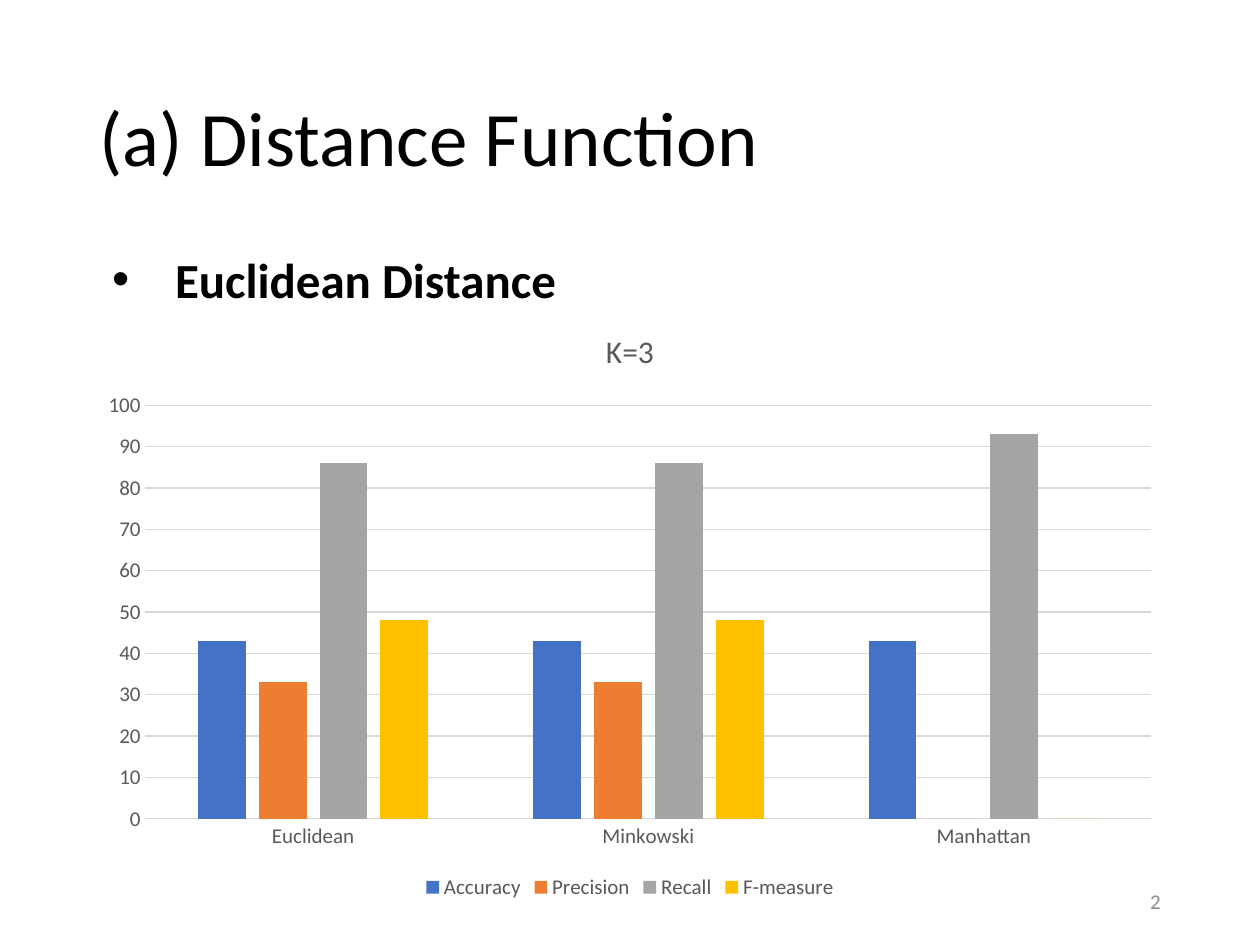
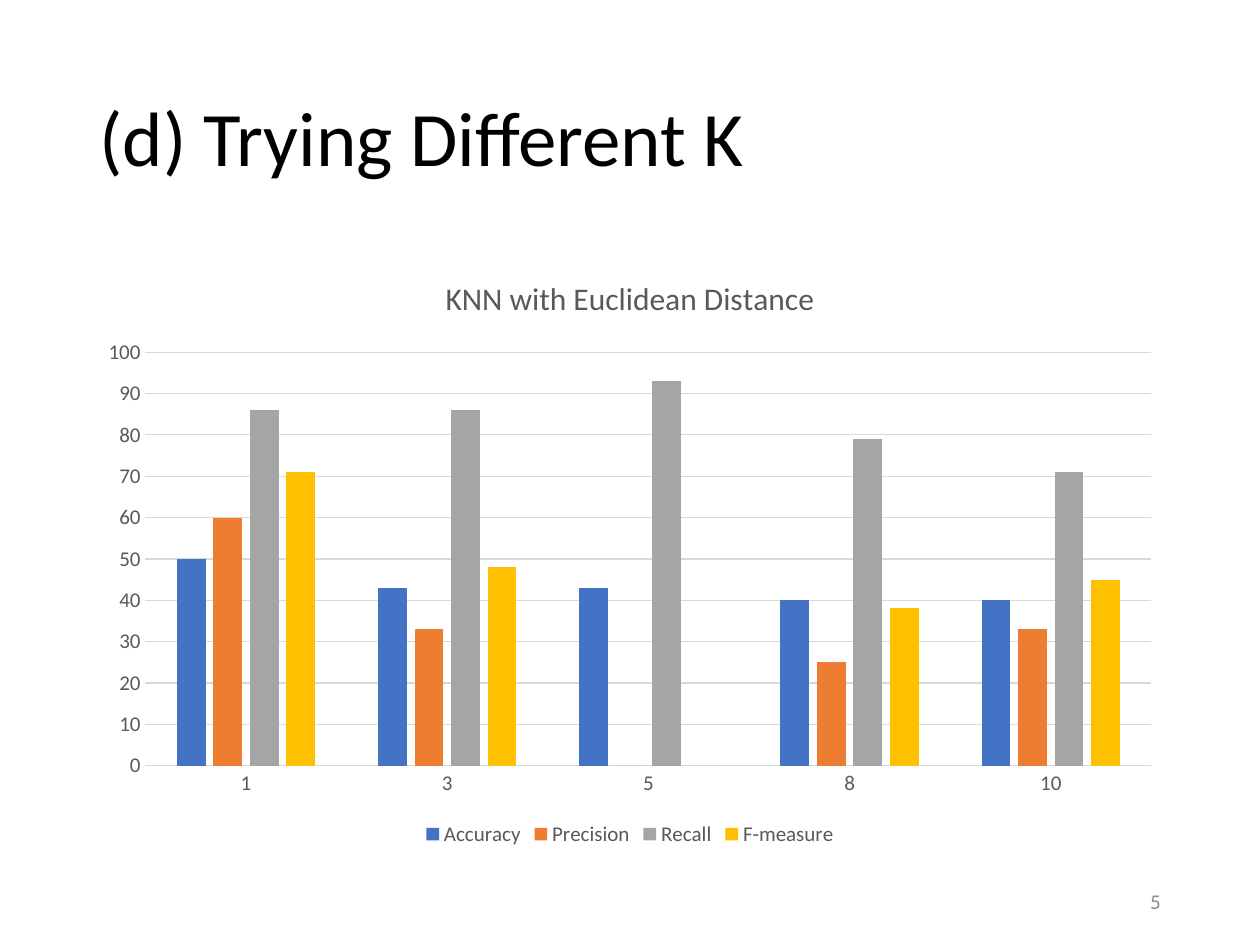
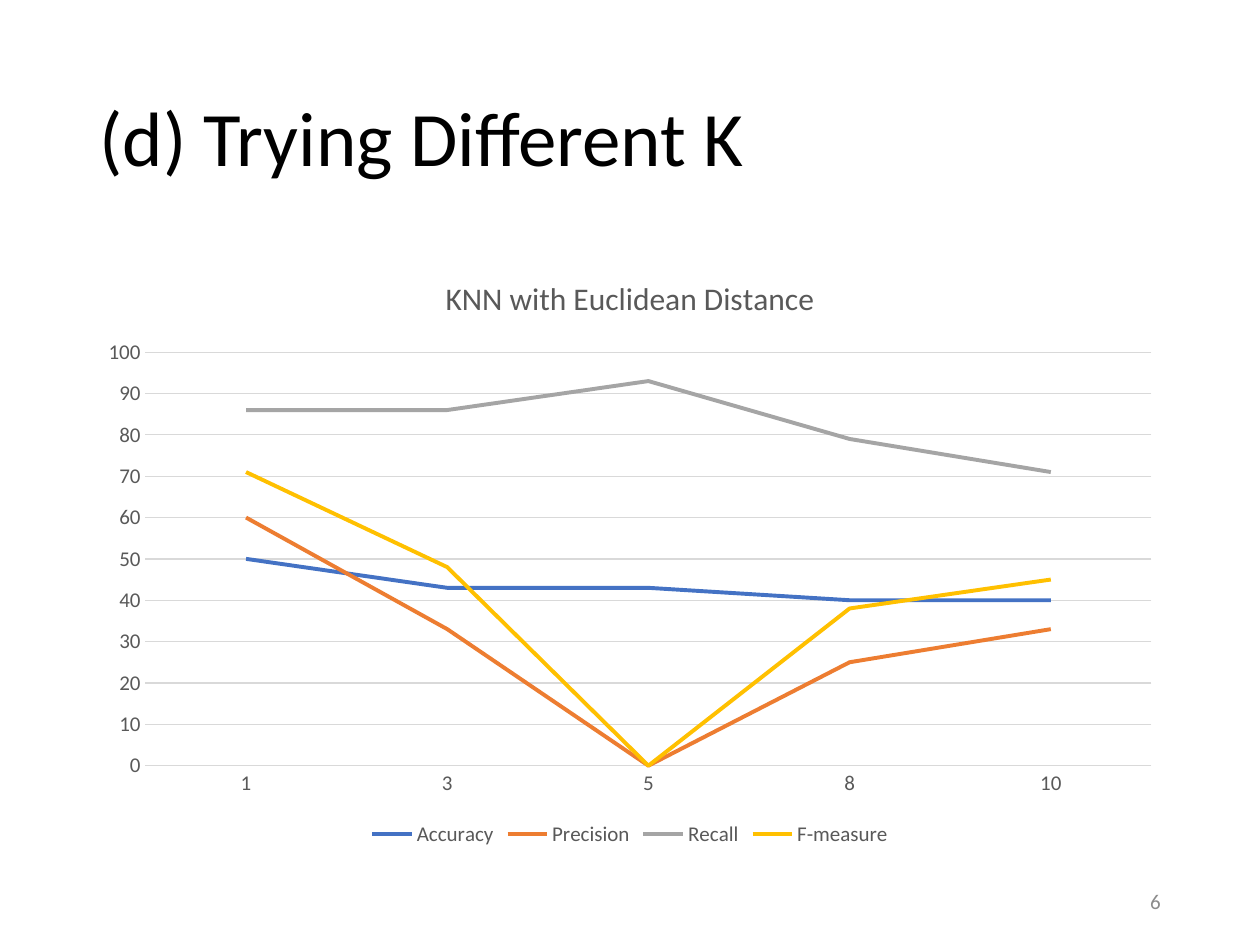
"""Builds three slides that compare KNN scores by distance function and by K."""
from lxml import etree
from pptx import Presentation
from pptx.chart.data import CategoryChartData
from pptx.dml.color import RGBColor
from pptx.enum.chart import XL_CHART_TYPE, XL_LEGEND_POSITION, XL_TICK_MARK
from pptx.enum.text import MSO_ANCHOR, MSO_AUTO_SIZE, PP_ALIGN
from pptx.oxml.ns import qn
from pptx.util import Cm, Pt

COLUMNS = XL_CHART_TYPE.COLUMN_CLUSTERED
LINES = XL_CHART_TYPE.LINE
BOTTOM = XL_LEGEND_POSITION.BOTTOM
NO_TICK = XL_TICK_MARK.NONE
MIDDLE, TOP = MSO_ANCHOR.MIDDLE, MSO_ANCHOR.TOP
LEFT, RIGHT = PP_ALIGN.LEFT, PP_ALIGN.RIGHT
FIT_SHAPE, FIXED = MSO_AUTO_SIZE.SHAPE_TO_FIT_TEXT, MSO_AUTO_SIZE.NONE

FONT = "Calibri"
COLORS = {
    "background": "FFFFFF",
    "text": "000000",
    "chart_text": "595959",
    "grid": "D9D9D9",
    "page_number": "8C8C8C",
    "Accuracy": "4472C4",
    "Precision": "ED7D31",
    "Recall": "A5A5A5",
    "F-measure": "FFC000",
}

MARGIN, CONTENT_WIDTH = 1.75, 21.9
TITLE_BOX = (MARGIN, 1.02, CONTENT_WIDTH, 3.68)
SUBHEADING_BOX = (2.01, 4.9, 11.86, 1.45)
PAGE_NUMBER_BOX = (17.93, 17.65, 5.72, 1.02)
CHART_HEIGHT = 12.09

DISTANCE_NAMES = ["Euclidean", "Minkowski", "Manhattan"]
DISTANCE_SCORES = {
    "Accuracy": [43, 43, 43],
    "Precision": [33, 33, 0],
    "Recall": [86, 86, 93],
    "F-measure": [48, 48, 0],
}
K_VALUES = ["1", "3", "5", "8", "10"]
K_SCORES = {
    "Accuracy": [50, 43, 43, 40, 40],
    "Precision": [60, 33, 0, 25, 33],
    "Recall": [86, 86, 93, 79, 71],
    "F-measure": [71, 48, 0, 38, 45],
}


def color(name):
    """Return the named colour."""
    return RGBColor.from_string(COLORS[name])


def style_font(font, size, color_name, bold=False):
    """Give a font its face, size, colour and weight."""
    font.name = FONT
    font.size = Pt(size)
    font.bold = bold
    font.color.rgb = color(color_name)


def style_line(line, color_name, width):
    """Give a line its colour and width in points."""
    line.color.rgb = color(color_name)
    line.width = Pt(width)


def fill_text(frame, text, size, color_name, align=LEFT, anchor=MIDDLE, bold=False):
    """Write one styled run into a frame and return its paragraph."""
    frame.word_wrap = True
    frame.auto_size = FIXED
    frame.vertical_anchor = anchor
    paragraph = frame.paragraphs[0]
    paragraph.alignment = align
    run = paragraph.add_run()
    run.text = text
    style_font(run.font, size, color_name, bold)
    return paragraph


def place_title(slide, box, text):
    """Move the title placeholder into the box and write the title."""
    title = slide.shapes.title
    title.left, title.top, title.width, title.height = map(Cm, box)
    paragraph = fill_text(title.text_frame, text, 44, "text")
    paragraph.line_spacing = 0.9


def place_page_number(slide, box, number):
    """Write the page number at the right of the box."""
    footer = slide.shapes.add_textbox(*map(Cm, box))
    fill_text(footer.text_frame, str(number), 12, "page_number", RIGHT)


def place_subheading(slide, box, text):
    """Write a bold bulleted line in the box."""
    subheading = slide.shapes.add_textbox(*map(Cm, box))
    frame = subheading.text_frame
    paragraph = fill_text(frame, text, 28, "text", anchor=TOP, bold=True)
    frame.auto_size = FIT_SHAPE
    properties = paragraph._p.get_or_add_pPr()
    properties.set("marL", str(Cm(1.27)))
    properties.set("indent", str(-Cm(1.27)))
    etree.SubElement(properties, qn("a:buFont"), typeface="Arial")
    etree.SubElement(properties, qn("a:buChar"), char="\u2022")


def style_axes(chart):
    """Format the category axis and the 0 to 100 score axis."""
    for axis in (chart.category_axis, chart.value_axis):
        axis.major_tick_mark = axis.minor_tick_mark = NO_TICK
        style_font(axis.tick_labels.font, 12, "chart_text")
    style_line(chart.category_axis.format.line, "grid", 0.75)
    scores = chart.value_axis
    scores.minimum_scale, scores.maximum_scale, scores.major_unit = 0, 100, 10
    scores.format.line.fill.background()
    scores.has_major_gridlines = True
    style_line(scores.major_gridlines.format.line, "grid", 0.75)


def style_series(plot, kind):
    """Colour each measure as columns or as straight lines."""
    plot.vary_by_categories = False
    if kind == COLUMNS:
        plot.gap_width, plot.overlap = 219, -27
    for measure in plot.series:
        if kind == COLUMNS:
            measure.invert_if_negative = False
            measure.format.fill.solid()
            measure.format.fill.fore_color.rgb = color(measure.name)
        else:
            measure.smooth = False
            style_line(measure.format.line, measure.name, 2.25)


def place_chart(slide, box, kind, heading, categories, scores):
    """Draw the scores of all measures as a titled chart in the box."""
    data = CategoryChartData()
    data.categories = categories
    for measure, values in scores.items():
        data.add_series(measure, values)
    chart = slide.shapes.add_chart(kind, *map(Cm, box), data).chart
    style_font(chart.font, 10, "text")
    chart.has_title = True
    chart_heading = chart.chart_title.text_frame.paragraphs[0].add_run()
    chart_heading.text = heading
    style_font(chart_heading.font, 18, "chart_text")
    chart.chart_title.include_in_layout = False
    chart.has_legend = True
    chart.legend.position = BOTTOM
    chart.legend.include_in_layout = False
    style_font(chart.legend.font, 12, "chart_text")
    style_axes(chart)
    style_series(chart.plots[0], kind)


def add_score_slide(deck, title, number, chart_top, *chart_content):
    """Add a slide with a title, a score chart and a page number."""
    slide = deck.slides.add_slide(deck.slide_layouts.get_by_name("Title Only"))
    slide.background.fill.solid()
    slide.background.fill.fore_color.rgb = color("background")
    place_title(slide, TITLE_BOX, title)
    chart_box = (MARGIN, chart_top, CONTENT_WIDTH, CHART_HEIGHT)
    place_chart(slide, chart_box, *chart_content)
    place_page_number(slide, PAGE_NUMBER_BOX, number)
    return slide


def main():
    """Build the deck and save it."""
    deck = Presentation()
    deck.slide_width, deck.slide_height = Cm(25.4), Cm(19.05)
    distance_slide = add_score_slide(
        deck, "(a) Distance Function", 2, 6.15,
        COLUMNS, "K=3", DISTANCE_NAMES, DISTANCE_SCORES)
    place_subheading(distance_slide, SUBHEADING_BOX, "Euclidean Distance")
    for number, kind in ((5, COLUMNS), (6, LINES)):
        add_score_slide(
            deck, "(d) Trying Different K", number, 5.08,
            kind, "KNN with Euclidean Distance", K_VALUES, K_SCORES)
    deck.save("out.pptx")


main()
